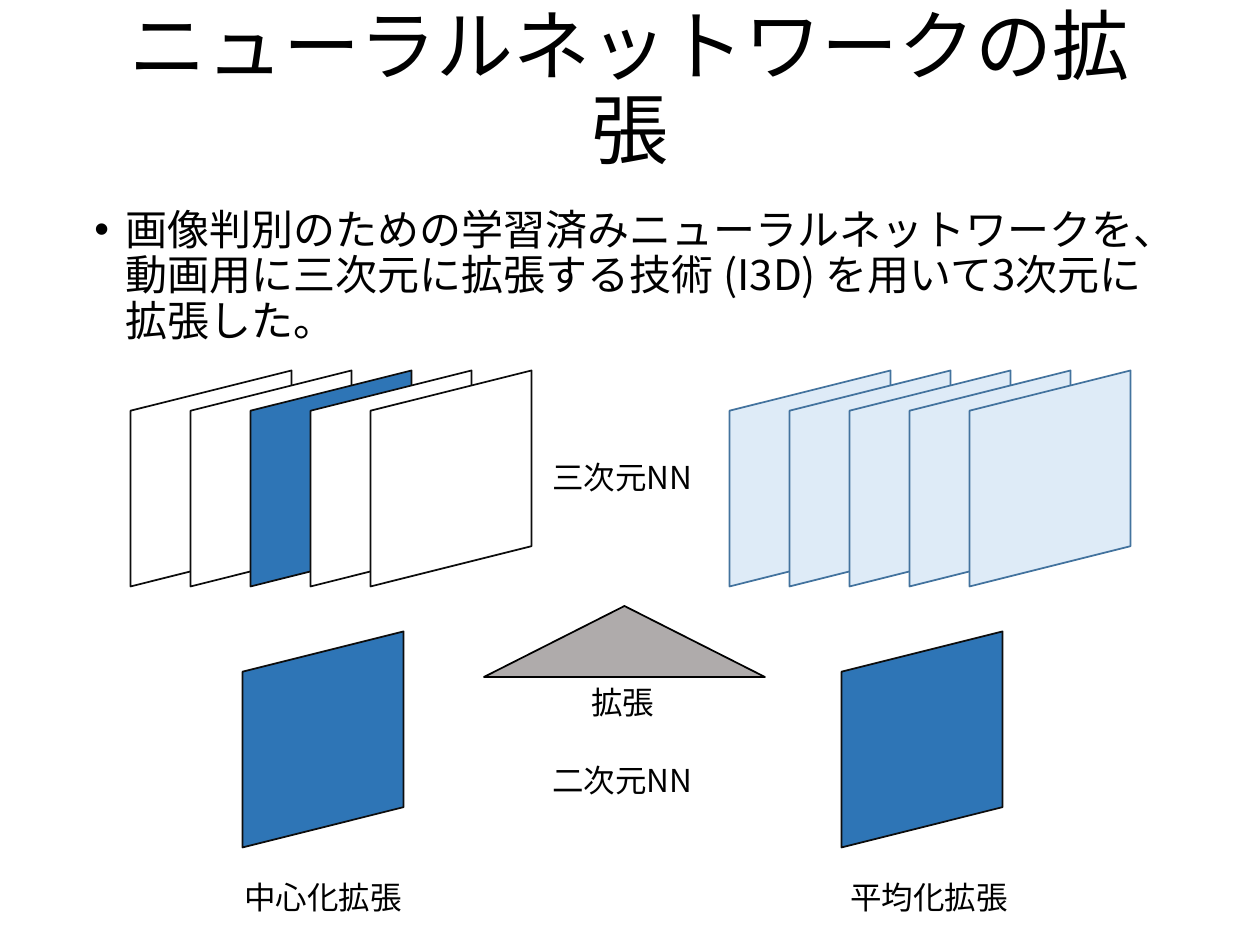
from lxml import etree
from pptx import Presentation
from pptx import util as u
from pptx.dml.color import RGBColor
from pptx.enum import lang, shapes, text
from pptx.oxml.ns import qn

PX = 914400 // 126
FONT = "Noto Sans CJK JP"
COLORS = dict(black="000000", outline="0D0D0D", white="FFFFFF", blue="2E75B6",
              pale="DEEBF7", steel="43739E", gray="AFABAB")

HEADING = "ニューラルネットワークの拡張"
SUMMARY = ("画像判別のための学習済みニューラルネットワークを、"
           "動画用に三次元に拡張する技術 (I3D) を用いて3次元に拡張した。")
LABELS = [
    ("中心化拡張", 137, 872, 372),
    ("平均化拡張", 743, 872, 372),
    ("二次元NN", 524, 755, 197),
    ("三次元NN", 524, 452, 197),
    ("拡張", 524, 677, 197),
]
EXPANSIONS = [
    (103, ["white", "white", "blue", "white", "white"], "outline"),
    (702, ["pale"] * 5, "steel"),
]
PLANE_W, PLANE_H, PLANE_STEP = 216, 161, 60
STACK_TOP, SOURCE_TOP, SOURCE_SHIFT = 398, 659, 112


def box(left, top, width, height):
    return [u.Emu(v * PX) for v in (left, top, width, height)]


def color(name):
    return RGBColor.from_string(COLORS[name])


def add_words(words, place, size, align=text.PP_ALIGN.CENTER,
              anchor=text.MSO_ANCHOR.TOP, spacing=None):
    frame = slide.shapes.add_textbox(*box(*place)).text_frame
    frame.word_wrap = True
    frame.vertical_anchor = anchor
    paragraph = frame.paragraphs[0]
    paragraph.alignment = align
    paragraph.line_spacing = spacing
    run = paragraph.add_run()
    run.text = words
    run.font.size = u.Pt(size)
    run.font.name = FONT
    run.font.color.rgb = color("black")
    run.font.language_id = lang.MSO_LANGUAGE_ID.JAPANESE
    etree.SubElement(run.font._element, qn("a:ea"), typeface=FONT)
    return paragraph


def add_solid(parent, kind, place, fill, line):
    solid = parent.add_shape(kind, *box(*place))
    solid.shadow.inherit = False
    solid.fill.solid()
    solid.fill.fore_color.rgb = color(fill)
    solid.line.color.rgb = color(line)
    solid.line.width = u.Pt(1)
    return solid


def add_plane(parent, left, top, fill, line):
    plane = add_solid(parent, shapes.MSO_SHAPE.PARALLELOGRAM,
                      (left, top, PLANE_W, PLANE_H), fill, line)
    plane.rotation = 270
    plane._element.spPr.find(qn("a:xfrm")).set("flipH", "1")


deck = Presentation()
deck.slide_width, deck.slide_height = u.Inches(10), u.Inches(7.5)
slide = deck.slides.add_slide(deck.slide_layouts[6])

add_words(HEADING, (87, 0, 1086, 183), 44,
          anchor=text.MSO_ANCHOR.MIDDLE, spacing=0.9)
summary = add_words(SUMMARY, (82, 203, 1086, 650), 24,
                    align=text.PP_ALIGN.LEFT, spacing=0.9)
summary.space_before = u.Pt(10)
bullet = summary._p.get_or_add_pPr()
bullet.set("marL", str(u.Inches(0.25)))
bullet.set("indent", str(-u.Inches(0.25)))
etree.SubElement(bullet, qn("a:buFont"), typeface="Arial")
etree.SubElement(bullet, qn("a:buChar"), char="•")

for left, fills, line in EXPANSIONS:
    expansion = slide.shapes.add_group_shape().shapes
    for i, fill in enumerate(fills):
        add_plane(expansion, left + i * PLANE_STEP, STACK_TOP, fill, line)
    add_plane(expansion, left + SOURCE_SHIFT, SOURCE_TOP, "blue", "outline")

add_solid(slide.shapes, shapes.MSO_SHAPE.ISOSCELES_TRIANGLE,
          (484, 606, 281, 71), "gray", "black")
for words, left, top, width in LABELS:
    add_words(words, (left, top, width, 50), 18)

deck.save("out.pptx")
